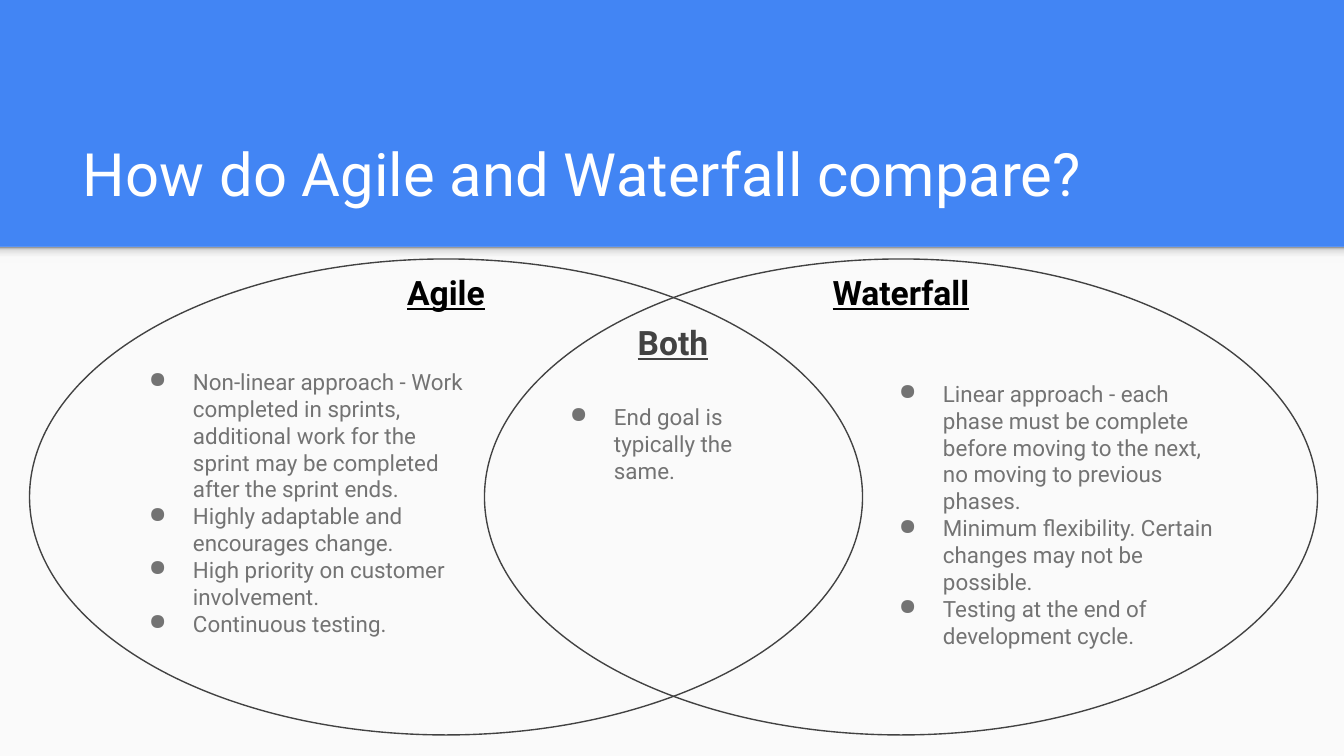
from lxml import etree
from pptx import Presentation
from pptx import util as u
from pptx.dml.color import RGBColor
from pptx.enum import shapes, text
from pptx.oxml import ns

COLORS = {
    "header": "4285F4", "body": "FAFAFA", "title": "FFFFFF",
    "heading": "000000", "outline": "424242", "bullet": "737373",
}
SHADOW_STOPS = [(0, "F9F9F9"), (36, "F9F9F9"), (80, "DEDEDE"), (100, "999999")]
FONT = "Roboto"

TITLE = "How do Agile and Waterfall compare?"
# heading, colour, centre x, top
HEADINGS = [
    ("Agile", "heading", 446, 259),
    ("Waterfall", "heading", 901, 259),
    ("Both", "outline", 673, 309),
]
# left, top, width, height, points
LISTS = [
    (113, 355, 372, 288, [
        "Non-linear approach - Work completed in sprints, additional work "
        "for the sprint may be completed after the sprint ends.",
        "Highly adaptable and encourages change.",
        "High priority on customer involvement.",
        "Continuous testing.",
    ]),
    (863, 367, 372, 276, [
        "Linear approach - each phase must be complete before moving to the "
        "next, no moving to previous phases.",
        "Minimum flexibility. Certain changes may not be possible.",
        "Testing at the end of development cycle.",
    ]),
    (534, 390, 278, 223, ["End goal is typically the same."]),
]

SLIDE_W, SLIDE_H = 1344, 756
HEADER_H, SHADOW_H = 247, 16
ELLIPSE_TOP, ELLIPSE_W, ELLIPSE_H = 259, 833, 476
ELLIPSE_CENTRES = [446, 901]
HEADING_W, HEADING_H = 180, 60
INSET = 13
LIST_INDENT, BULLET_HANG = 67, 44


def px(length):
    return u.Emu(round(length * 914400 / 134.4))


def rgb(name):
    return RGBColor.from_string(COLORS[name])


def add_shape(slide, kind, left, top, width, height, fill=None, line=None):
    shape = slide.shapes.add_shape(kind, px(left), px(top), px(width), px(height))
    shape.shadow.inherit = False
    if fill:
        shape.fill.solid()
        shape.fill.fore_color.rgb = rgb(fill)
    else:
        shape.fill.background()
    if line:
        shape.line.color.rgb = rgb(line)
        shape.line.width = u.Pt(0.75)
    else:
        shape.line.fill.background()
    return shape


def add_gradient(shape, stops, angle):
    shape.fill.gradient()
    shape.fill.gradient_angle = angle
    stop_list = next(shape.element.iter(ns.qn("a:gsLst")))
    for old in list(stop_list):
        stop_list.remove(old)
    for percent, color in stops:
        stop = etree.SubElement(stop_list, ns.qn("a:gs"), pos=str(percent * 1000))
        etree.SubElement(stop, ns.qn("a:srgbClr"), val=color)


def add_bullet(para, color):
    props = para._p.get_or_add_pPr()
    props.set("marL", str(px(LIST_INDENT)))
    props.set("indent", str(-px(BULLET_HANG)))
    bullet_color = etree.SubElement(props, ns.qn("a:buClr"))
    etree.SubElement(bullet_color, ns.qn("a:srgbClr"), val=COLORS[color])
    etree.SubElement(props, ns.qn("a:buChar"), char="●")


def add_text(slide, lines, left, top, width, height, size, color, strong=False,
             bullets=False, align=text.PP_ALIGN.LEFT, anchor=text.MSO_ANCHOR.TOP):
    """Add a text box with one paragraph per line; strong is bold and underlined."""
    box = slide.shapes.add_textbox(px(left), px(top), px(width), px(height))
    frame = box.text_frame
    frame.word_wrap = True
    frame.vertical_anchor = anchor
    frame.margin_left = frame.margin_right = px(INSET)
    frame.margin_top = frame.margin_bottom = px(INSET)
    for index, line in enumerate(lines):
        para = frame.add_paragraph() if index else frame.paragraphs[0]
        para.alignment = align
        if bullets:
            add_bullet(para, color)
        span = para.add_run()
        span.text = line
        span.font.name = FONT
        span.font.size = u.Pt(size)
        span.font.color.rgb = rgb(color)
        span.font.bold = span.font.underline = strong


def main():
    deck = Presentation()
    deck.slide_width, deck.slide_height = px(SLIDE_W), px(SLIDE_H)
    slide = deck.slides.add_slide(deck.slide_layouts[6])
    slide.background.fill.solid()
    slide.background.fill.fore_color.rgb = rgb("header")

    rectangle = shapes.MSO_SHAPE.RECTANGLE
    add_shape(slide, rectangle, 0, HEADER_H, SLIDE_W, SLIDE_H - HEADER_H, fill="body")
    shadow = add_shape(slide, rectangle, 0, HEADER_H, SLIDE_W, SHADOW_H)
    add_gradient(shadow, SHADOW_STOPS, 90)

    add_text(slide, [TITLE], 70, 109, 1208, 113, 32, "title",
             anchor=text.MSO_ANCHOR.BOTTOM)
    for centre in ELLIPSE_CENTRES:
        add_shape(slide, shapes.MSO_SHAPE.OVAL, centre - ELLIPSE_W / 2, ELLIPSE_TOP,
                  ELLIPSE_W, ELLIPSE_H, line="outline")
    for heading, color, centre, top in HEADINGS:
        add_text(slide, [heading], centre - HEADING_W / 2, top, HEADING_W, HEADING_H,
                 18, color, strong=True, align=text.PP_ALIGN.CENTER)
    for left, top, width, height, points in LISTS:
        add_text(slide, points, left, top, width, height, 12, "bullet", bullets=True)

    deck.save("out.pptx")


if __name__ == "__main__":
    main()
